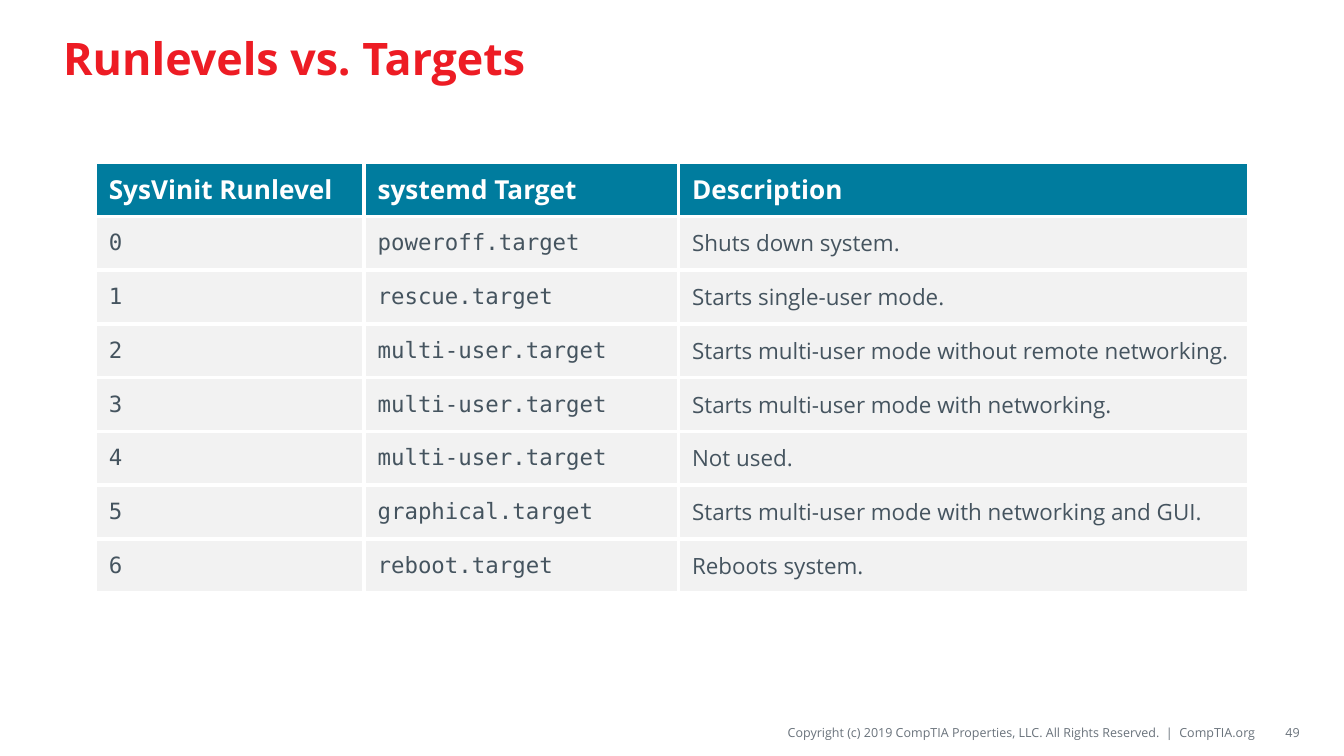
from lxml import etree
from pptx import Presentation
from pptx.dml.color import RGBColor
from pptx.enum.text import MSO_ANCHOR, MSO_AUTO_SIZE, PP_ALIGN
from pptx.oxml.ns import qn
from pptx.util import Inches, Pt

MIDDLE = MSO_ANCHOR.MIDDLE
NO_AUTOFIT = MSO_AUTO_SIZE.NONE
LEFT, RIGHT = PP_ALIGN.LEFT, PP_ALIGN.RIGHT

COLORS = {
    "title": "ED1C24",
    "header_fill": "007C9E",
    "header_text": "FFFFFF",
    "row_fill": "F2F2F2",
    "row_text": "45545F",
    "border": "FFFFFF",
    "footer": "69727B",
}
SANS, MONO = "Open Sans", "DejaVu Sans Mono"

TITLE_FORMAT = {"name": SANS, "size": Pt(24), "bold": True}
HEADER_FORMAT = {"name": SANS, "size": Pt(14), "bold": True}
CODE_FORMAT = {"name": MONO, "size": Pt(12), "bold": False}
DESCRIPTION_FORMAT = {"name": SANS, "size": Pt(12), "bold": False}
FOOTER_FORMAT = {"name": SANS, "size": Pt(6.75), "bold": False}

HEADERS = ("SysVinit Runlevel", "systemd Target", "Description")
RUNLEVELS = (
    ("0", "poweroff.target", "Shuts down system."),
    ("1", "rescue.target", "Starts single-user mode."),
    ("2", "multi-user.target", "Starts multi-user mode without remote networking."),
    ("3", "multi-user.target", "Starts multi-user mode with networking."),
    ("4", "multi-user.target", "Not used."),
    ("5", "graphical.target", "Starts multi-user mode with networking and GUI."),
    ("6", "reboot.target", "Reboots system."),
)
COLUMN_FORMATS = (CODE_FORMAT, CODE_FORMAT, DESCRIPTION_FORMAT)
COLUMN_WIDTHS = (2, 2.34, 4.24)
ROW_HEIGHT = 0.4
COPYRIGHT = ("Copyright (c) 2019 CompTIA Properties, LLC. All Rights Reserved."
             "  |  CompTIA.org")


def write_text(frame, text, font_format, color, align=LEFT):
    frame.text = text
    paragraph = frame.paragraphs[0]
    paragraph.alignment = align
    font = paragraph.runs[0].font
    for attribute, value in font_format.items():
        setattr(font, attribute, value)
    font.color.rgb = RGBColor.from_string(COLORS[color])


def add_title(slide, text):
    title = slide.shapes.title
    title.left, title.top = Inches(0.37), Inches(0.08)
    title.width, title.height = Inches(9.25), Inches(0.69)
    frame = title.text_frame
    frame.auto_size = NO_AUTOFIT
    frame.vertical_anchor = MIDDLE
    write_text(frame, text, TITLE_FORMAT, "title")


def add_footer_text(slide, text, left, width):
    box = slide.shapes.add_textbox(
        Inches(left), Inches(5.34), Inches(width), Inches(0.22))
    frame = box.text_frame
    frame.word_wrap = True
    frame.vertical_anchor = MIDDLE
    frame.margin_left = frame.margin_right = 0
    frame.margin_top = frame.margin_bottom = Inches(0.04)
    write_text(frame, text, FOOTER_FORMAT, "footer", RIGHT)


def add_cell_borders(cell):
    """Draw all four cell edges; they must precede the fill in tcPr."""
    properties = cell._tc.get_or_add_tcPr()
    for position, edge in enumerate(("lnL", "lnR", "lnT", "lnB")):
        line = etree.Element(qn(f"a:{edge}"), w=str(Pt(2.25)))
        fill = etree.SubElement(line, qn("a:solidFill"))
        etree.SubElement(fill, qn("a:srgbClr"), val=COLORS["border"])
        properties.insert(position, line)


def fill_row(row, texts, formats, part):
    row.height = Inches(ROW_HEIGHT)
    for cell, text, font_format in zip(row.cells, texts, formats):
        cell.fill.solid()
        cell.fill.fore_color.rgb = RGBColor.from_string(COLORS[f"{part}_fill"])
        cell.vertical_anchor = MIDDLE
        write_text(cell.text_frame, text, font_format, f"{part}_text")
        add_cell_borders(cell)


def add_runlevel_table(slide):
    row_count = len(RUNLEVELS) + 1
    table = slide.shapes.add_table(
        row_count, len(HEADERS), Inches(0.71), Inches(1.21),
        Inches(sum(COLUMN_WIDTHS)), Inches(ROW_HEIGHT * row_count)).table
    table.horz_banding = False
    for column, width in zip(table.columns, COLUMN_WIDTHS):
        column.width = Inches(width)
    header, *body = table.rows
    fill_row(header, HEADERS, [HEADER_FORMAT] * len(HEADERS), "header")
    for row, texts in zip(body, RUNLEVELS):
        fill_row(row, texts, COLUMN_FORMATS, "row")


def main():
    presentation = Presentation()
    presentation.slide_width = Inches(10)
    presentation.slide_height = presentation.slide_width * 9 // 16
    title_only = presentation.slide_layouts[5]
    slide = presentation.slides.add_slide(title_only)
    add_footer_text(slide, COPYRIGHT, 3.88, 5.47)
    add_title(slide, "Runlevels vs. Targets")
    add_footer_text(slide, "49", 9.38, 0.29)
    add_runlevel_table(slide)
    presentation.save("out.pptx")


if __name__ == "__main__":
    main()
